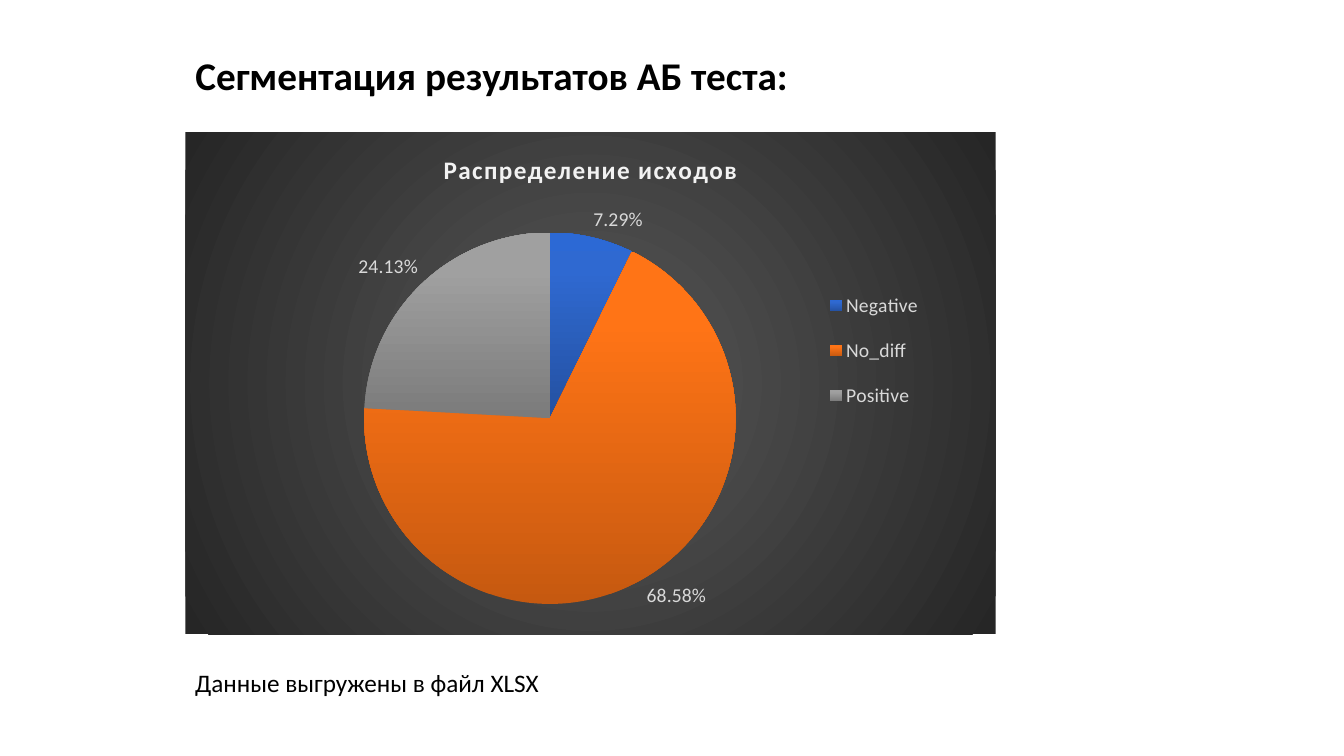
import dataclasses

import pptx
import pptx.chart.data
import pptx.dml.color
import pptx.enum.chart
import pptx.enum.text
import pptx.oxml
import pptx.oxml.ns
import pptx.util

Cm = pptx.util.Cm
qn = pptx.oxml.ns.qn


@dataclasses.dataclass(frozen=True)
class Theme:
    """Hold the colours, font and type sizes of the slide."""
    font: str = "Calibri"
    ink: str = "000000"
    head: str = "F2F2F2"
    label: str = "D9D9D9"
    back: tuple = ((0, "595959"), (100, "262626"))
    slices: tuple = (
        ((0, "2451A1"), (80, "2F69D1"), (100, "2C69D5")),
        ((0, "C65910"), (80, "FF7416"), (100, "FF7517")),
        ((0, "7B7B7B"), (80, "A0A0A0"), (100, "A1A1A1")),
    )
    title: float = 28
    note: float = 18
    small: float = 14


THEME = Theme()
LEFT, WIDTH = 4.67, 20.42
RADIAL = ('<a:path path="circle"><a:fillToRect l="50000" t="50000" '
          'r="50000" b="50000"/></a:path>')
UPWARD = '<a:lin ang="16200000" scaled="0"/>'
SHARES = {"Negative": 0.0729, "No_diff": 0.6858, "Positive": 0.2413}


def style(font, size, color, bold=False):
    """Set the face, size, colour and weight of a font."""
    font.name = THEME.font
    font.size = pptx.util.Pt(size)
    font.bold = bold
    font.color.rgb = pptx.dml.color.RGBColor.from_string(color)


def write(frame, text, *, size, color=THEME.ink, bold=False, space=None, track=None):
    """Write one left-aligned or chart-title line in a text frame."""
    line = frame.paragraphs[0]
    line.line_spacing = space
    run = line.add_run()
    run.text = text
    style(run.font, size, color, bold)
    if track:
        run.font.color.rgb = pptx.dml.color.RGBColor.from_string(color)
        line.runs[0].font.language_id = None
        for props in frame.paragraphs[0].runs[0]._r.iter(qn("a:rPr")):
            props.set("spc", str(track))
    return line


def blend(stops, tail):
    """Return a gradient fill made of stops and a direction."""
    marks = "".join(f'<a:gs pos="{spot * 1000}"><a:srgbClr val="{tint}"/></a:gs>'
                    for spot, tint in stops)
    return pptx.oxml.parse_xml(
        f'<a:gradFill {pptx.oxml.ns.nsdecls("a")} rotWithShape="1">'
        f'<a:gsLst>{marks}</a:gsLst>{tail}</a:gradFill>')


def place(parent, left, top, width, height, inner=False):
    """Return a manual layout given as shares of the chart area."""
    for old in parent.findall(qn("c:layout")):
        parent.remove(old)
    target = '<c:layoutTarget val="inner"/>' if inner else ""
    modes = '<c:xMode val="edge"/><c:yMode val="edge"/>'
    sizes = "".join(f'<c:{key} val="{val}"/>' for key, val in
                    zip("xywh", (left, top, width, height)))
    return pptx.oxml.parse_xml(
        f'<c:layout {pptx.oxml.ns.nsdecls("c")}><c:manualLayout>'
        f'{target}{modes}{sizes}</c:manualLayout></c:layout>')


def add_title(slide, text):
    """Fill and move the title placeholder."""
    title = slide.shapes.title
    title.left, title.top = Cm(LEFT), Cm(1.42)
    title.width, title.height = Cm(WIDTH), Cm(1.2)
    frame = title.text_frame
    frame.auto_size = pptx.enum.text.MSO_AUTO_SIZE.NONE
    line = write(frame, text, size=THEME.title, bold=True, space=0.7)
    line.alignment = pptx.enum.text.PP_ALIGN.LEFT


def add_note(slide, text):
    """Add the remark below the chart."""
    box = slide.shapes.add_textbox(Cm(LEFT), Cm(16.69), Cm(9.65), Cm(1.02))
    box.text_frame.word_wrap = False
    write(box.text_frame, text, size=THEME.note)


def add_pie(slide, title, shares):
    """Add the pie chart with its title, labels and legend."""
    data = pptx.chart.data.CategoryChartData(number_format="0.00%")
    data.categories = list(shares)
    data.add_series("Series 1", list(shares.values()))
    chart = slide.shapes.add_chart(
        pptx.enum.chart.XL_CHART_TYPE.PIE, Cm(LEFT), Cm(3.33),
        Cm(WIDTH), Cm(12.65), data).chart
    style(chart.font, THEME.small, THEME.label)
    chart.has_title = True
    write(chart.chart_title.text_frame, title, size=THEME.note,
          color=THEME.head, bold=True, track=100)
    chart.chart_title.include_in_layout = False

    plot = chart.plots[0]
    plot.vary_by_categories = True
    plot.has_data_labels = True
    labels = plot.data_labels
    labels.show_value = True
    labels.show_percentage = False
    labels.number_format = "0.00%"
    labels.number_format_is_linked = False
    labels.position = pptx.enum.chart.XL_LABEL_POSITION.OUTSIDE_END
    style(labels.font, THEME.small, THEME.label)

    chart.has_legend = True
    chart.legend.position = pptx.enum.chart.XL_LEGEND_POSITION.RIGHT
    chart.legend.include_in_layout = False
    style(chart.legend.font, THEME.small, THEME.label)
    paint(chart)


def paint(chart):
    """Apply the gradients and the positions of pie and legend."""
    for index in range(len(THEME.slices)):
        look = chart.plots[0].series[0].points[index].format
        look.fill.solid()
        look.line.fill.background()
    root = chart.element
    for slot, stops in zip(root.iter(qn("c:dPt")), THEME.slices):
        shape = slot.find(qn("c:spPr"))
        shape.replace(shape.find(qn("a:solidFill")), blend(stops, UPWARD))

    body = root.find(qn("c:chart"))
    area = body.find(qn("c:plotArea"))
    area.insert(0, place(area, 0.22, 0.2, 0.46, 0.74, inner=True))
    legend = body.find(qn("c:legend"))
    spot = place(legend, 0.78, 0.28, 0.14, 0.31)
    legend.find(qn("c:legendPos")).addnext(spot)

    shape = pptx.oxml.parse_xml(
        f'<c:spPr {pptx.oxml.ns.nsdecls("c", "a")}>'
        '<a:ln><a:noFill/></a:ln></c:spPr>')
    shape.insert(0, blend(THEME.back, RADIAL))
    body.addnext(shape)


def main():
    """Build the slide and save it."""
    deck = pptx.Presentation()
    deck.slide_width, deck.slide_height = Cm(33.87), Cm(19.05)
    slide = deck.slides.add_slide(deck.slide_layouts[5])
    add_title(slide, "Сегментация результатов АБ теста:")
    add_pie(slide, "Распределение исходов", SHARES)
    add_note(slide, "Данные выгружены в файл XLSX")
    deck.save("out.pptx")


main()
